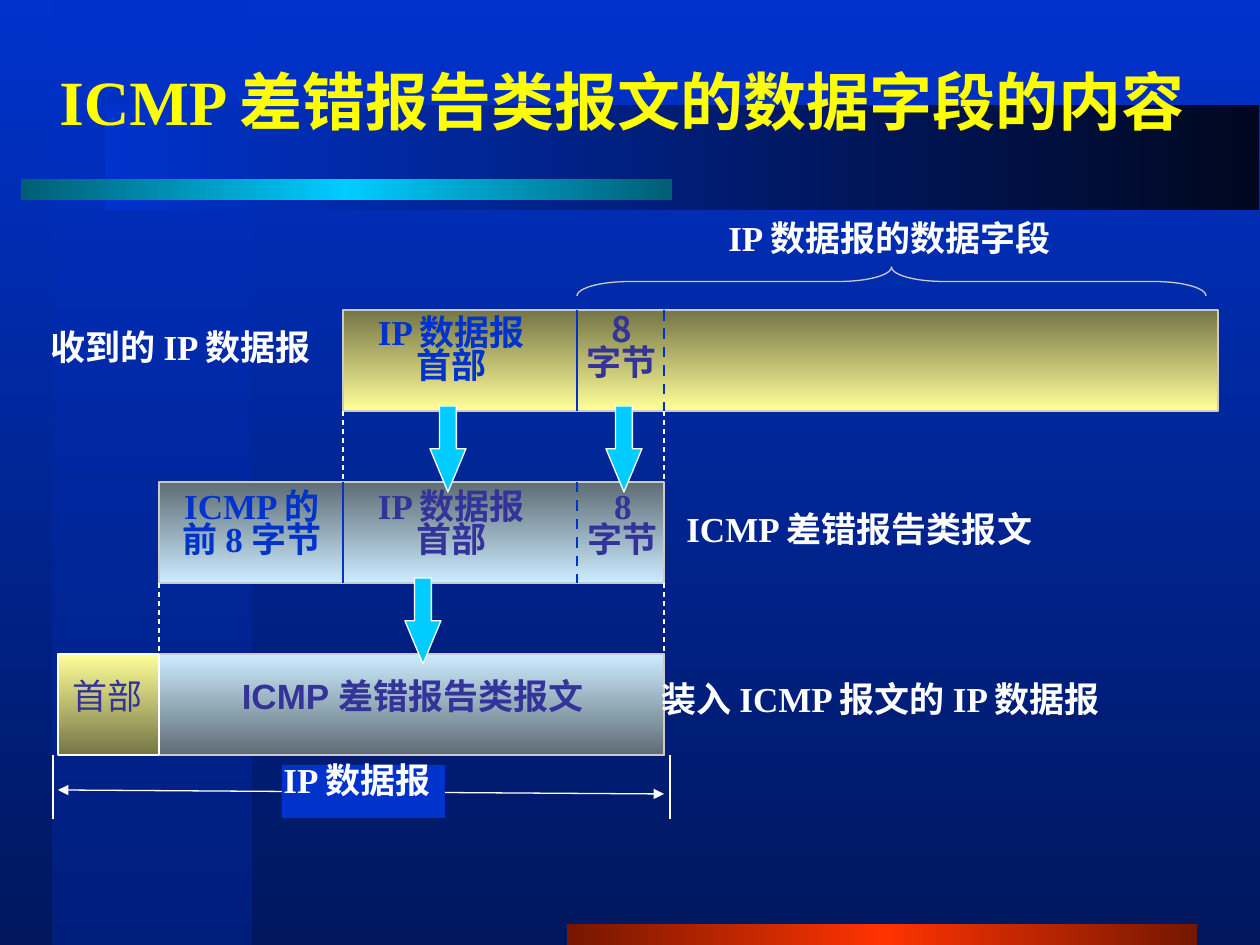
from lxml import etree
from pptx import Presentation
from pptx.dml.color import RGBColor
from pptx.enum.dml import MSO_LINE
from pptx.enum.shapes import MSO_CONNECTOR, MSO_SHAPE
from pptx.enum.text import MSO_ANCHOR, MSO_AUTO_SIZE, PP_ALIGN
from pptx.oxml.ns import qn
from pptx.util import Emu, Pt

PX = 914400 // 126
RECT, DOWN_ARROW, BRACE = MSO_SHAPE.RECTANGLE, MSO_SHAPE.DOWN_ARROW, MSO_SHAPE.LEFT_BRACE
STRAIGHT, DASH = MSO_CONNECTOR.STRAIGHT, MSO_LINE.DASH
LEFT, CENTER = PP_ALIGN.LEFT, PP_ALIGN.CENTER
MIDDLE, TOP = MSO_ANCHOR.MIDDLE, MSO_ANCHOR.TOP
NO_FIT, FIT_SHAPE = MSO_AUTO_SIZE.NONE, MSO_AUTO_SIZE.SHAPE_TO_FIT_TEXT
SERIF, SANS, CJK = "Times New Roman", "Arial", "Noto Sans CJK SC"

COLORS = {
    "blue": "0033CC", "night": "00175E", "navy": "001F7D", "black": "00071F",
    "red": "FF3300", "maroon": "751700", "cyan": "00CCFF", "teal": "005E75",
    "cream": "FFFF99", "olive": "757546", "ice": "CCECFF", "slate": "5E6C75",
    "title": "FFFF01", "white": "FFFFFF", "gray": "CBCBCB", "indigo": "333399",
}

TITLE = "ICMP 差错报告类报文的数据字段的内容"
DECOR = [
    ((53, 0, 199, 945), ["blue", "navy"], 90, 50),
    ((567, 924, 630, 21), ["maroon", "red", "maroon"], 180, 100),
    ((105, 105, 1154, 105), ["black", "blue"], 180, 100),
    ((21, 179, 651, 21), ["teal", "cyan", "teal"], 180, 100),
]

HEADER_X, ICMP_X, IP_X, DATA_X, REST_X, END_X = 58, 159, 343, 577, 664, 1218
ROW_H, ROW_PITCH = 101, 172
RECEIVED_Y, ICMP_Y, PACKET_Y = [310 + ROW_PITCH * row for row in range(3)]

BARS = [
    (HEADER_X, REST_X, PACKET_Y, ["cream", "olive"], "white"),
    (ICMP_X, REST_X, PACKET_Y, ["ice", "slate"], "gray"),
    (ICMP_X, REST_X, ICMP_Y, ["slate", "ice"], "gray"),
    (IP_X, END_X, RECEIVED_Y, ["olive", "cream"], "gray"),
]
DIVIDERS = [
    (ICMP_X, PACKET_Y, "white", None),
    (IP_X, ICMP_Y, "blue", None),
    (DATA_X, ICMP_Y, "blue", DASH),
    (DATA_X, RECEIVED_Y, "blue", None),
    (REST_X, RECEIVED_Y, "blue", DASH),
]
GUIDES = [(IP_X, RECEIVED_Y), (REST_X, RECEIVED_Y), (ICMP_X, ICMP_Y), (REST_X, ICMP_Y)]
ARROWS = [(430, RECEIVED_Y), (606, RECEIVED_Y), (405, ICMP_Y)]
EXTENT_MARKS = [53, 670]

CAPTIONS = [
    ("IP 数据报的数据字段", 716, 210, 358),
    ("收到的 IP 数据报", 38, 319, 304),
    ("ICMP 差错报告类报文", 674, 501, 380),
    ("装入 ICMP 报文的 IP 数据报", 649, 671, 502),
    ("IP 数据报", 271, 752, 183),
]
FIELDS = [
    ("IP 数据报\n首部", 360, 312, 183, {"color": "blue"}),
    ("8\n字节", 572, 309, 100, {"font": CJK}),
    ("ICMP 的\n前 8 字节", 157, 486, 190, {"color": "blue"}),
    ("IP 数据报\n首部", 360, 486, 183, {}),
    ("8\n字节", 573, 486, 100, {}),
    ("首部", 58, 676, 100, {"font": SANS, "bold": False}),
    ("ICMP 差错报告类报文", 223, 676, 380, {"font": SANS}),
]


def rgb(name):
    return RGBColor.from_string(COLORS[name])


def paint_gradient(owner_element, fill, names, angle=90, first_alpha=100):
    fill.gradient()
    fill.gradient_angle = 360 - angle
    stops = owner_element.find(".//" + qn("a:gsLst"))
    for stop in list(stops):
        stops.remove(stop)
    for index, name in enumerate(names):
        position = 100000 * index // (len(names) - 1)
        stop = etree.SubElement(stops, qn("a:gs"), pos=str(position))
        color = etree.SubElement(stop, qn("a:srgbClr"), val=COLORS[name])
        if index == 0 and first_alpha < 100:
            etree.SubElement(color, qn("a:alpha"), val=str(first_alpha * 1000))


def add_block(slide, kind, box, fill=None, gradient=None, angle=90, alpha=100,
              line=None, width=1):
    block = slide.shapes.add_shape(kind, *[Emu(v * PX) for v in box])
    block.shadow.inherit = False
    if gradient:
        paint_gradient(block.element, block.fill, gradient, angle, alpha)
    elif fill:
        block.fill.solid()
        block.fill.fore_color.rgb = rgb(fill)
    else:
        block.fill.background()
    if line:
        block.line.color.rgb = rgb(line)
        block.line.width = Pt(width)
    else:
        block.line.fill.background()
    return block


def add_rule(slide, start, end, color="white", width=1.0, dash=None, arrows=False):
    rule = slide.shapes.add_connector(STRAIGHT, *[Emu(v * PX) for v in start + end])
    rule.line.color.rgb = rgb(color)
    rule.line.width = Pt(width)
    if dash:
        rule.line.dash_style = dash
    properties = rule.element.spPr
    if arrows:
        outline = properties.find(qn("a:ln"))
        for tip in ("a:headEnd", "a:tailEnd"):
            etree.SubElement(outline, qn(tip), type="triangle")
    etree.SubElement(properties, qn("a:effectLst"))


def write_text(frame, text, font=SERIF, size=20, color="white", bold=True,
               align=LEFT, spacing=None, anchor=TOP, wrap=False, fit=FIT_SHAPE):
    frame.word_wrap = wrap
    frame.auto_size = fit
    frame.vertical_anchor = anchor
    for index, words in enumerate(text.split("\n")):
        paragraph = frame.add_paragraph() if index else frame.paragraphs[0]
        paragraph.alignment = align
        if spacing:
            paragraph.line_spacing = spacing
        run = paragraph.add_run()
        run.text = words
        run.font.name = font
        run.font.size = Pt(size)
        run.font.bold = bold
        run.font.color.rgb = rgb(color)
        etree.SubElement(run.font._element, qn("a:ea"), typeface=CJK)


def add_label(slide, text, box, **style):
    label = slide.shapes.add_textbox(*[Emu(v * PX) for v in box])
    write_text(label.text_frame, text, **style)


def main():
    deck = Presentation()
    deck.slide_width, deck.slide_height = Emu(1260 * PX), Emu(945 * PX)
    slide = deck.slides.add_slide(deck.slide_layouts[5])
    paint_gradient(slide.element, slide.background.fill, ["blue", "night"])

    for box, gradient, angle, alpha in DECOR:
        add_block(slide, RECT, box, gradient=gradient, angle=angle, alpha=alpha)

    title = slide.shapes.title
    title.left, title.top, title.width, title.height = [
        Emu(v * PX) for v in (0, 42, 1244, 116)]
    write_text(title.text_frame, TITLE, size=36, color="title", align=CENTER,
               anchor=MIDDLE, wrap=True, fit=NO_FIT)
    slide.shapes.element.append(title.element)

    for left, right, top, gradient, line in BARS:
        add_block(slide, RECT, (left, top, right - left, ROW_H), gradient=gradient, line=line)
    for x, top, color, dash in DIVIDERS:
        add_rule(slide, (x, top), (x, top + ROW_H), color, 1.5, dash)
    for x, top in GUIDES:
        add_rule(slide, (x, top + ROW_H), (x, top + ROW_PITCH), width=0.75, dash=DASH)

    for x in EXTENT_MARKS:
        add_rule(slide, (x, PACKET_Y + ROW_H), (x, 819))
    add_rule(slide, (HEADER_X, 790), (REST_X, 794), width=0.75, arrows=True)
    add_block(slide, RECT, (282, 765, 163, 53), fill="blue")

    for text, left, top, width in CAPTIONS:
        add_label(slide, text, (left, top, width, 55))
    for text, left, top, width, style in FIELDS:
        height = 13 + 34 * len(text.split("\n"))
        add_label(slide, text, (left, top, width, height),
                  **{"color": "indigo", "align": CENTER, "spacing": 0.8, **style})

    for left, row_top in ARROWS:
        arrow = add_block(slide, DOWN_ARROW, (left, row_top + ROW_H - 5, 36, 86),
                          fill="cyan", line="white", width=0.75)
        arrow.adjustments[0], arrow.adjustments[1] = 0.47, 1.2

    brace = add_block(slide, BRACE, (877, -33, 29, 629), line="gray", width=0.75)
    brace.rotation = 90
    brace.adjustments[0] = 1.81

    deck.save("out.pptx")


if __name__ == "__main__":
    main()
